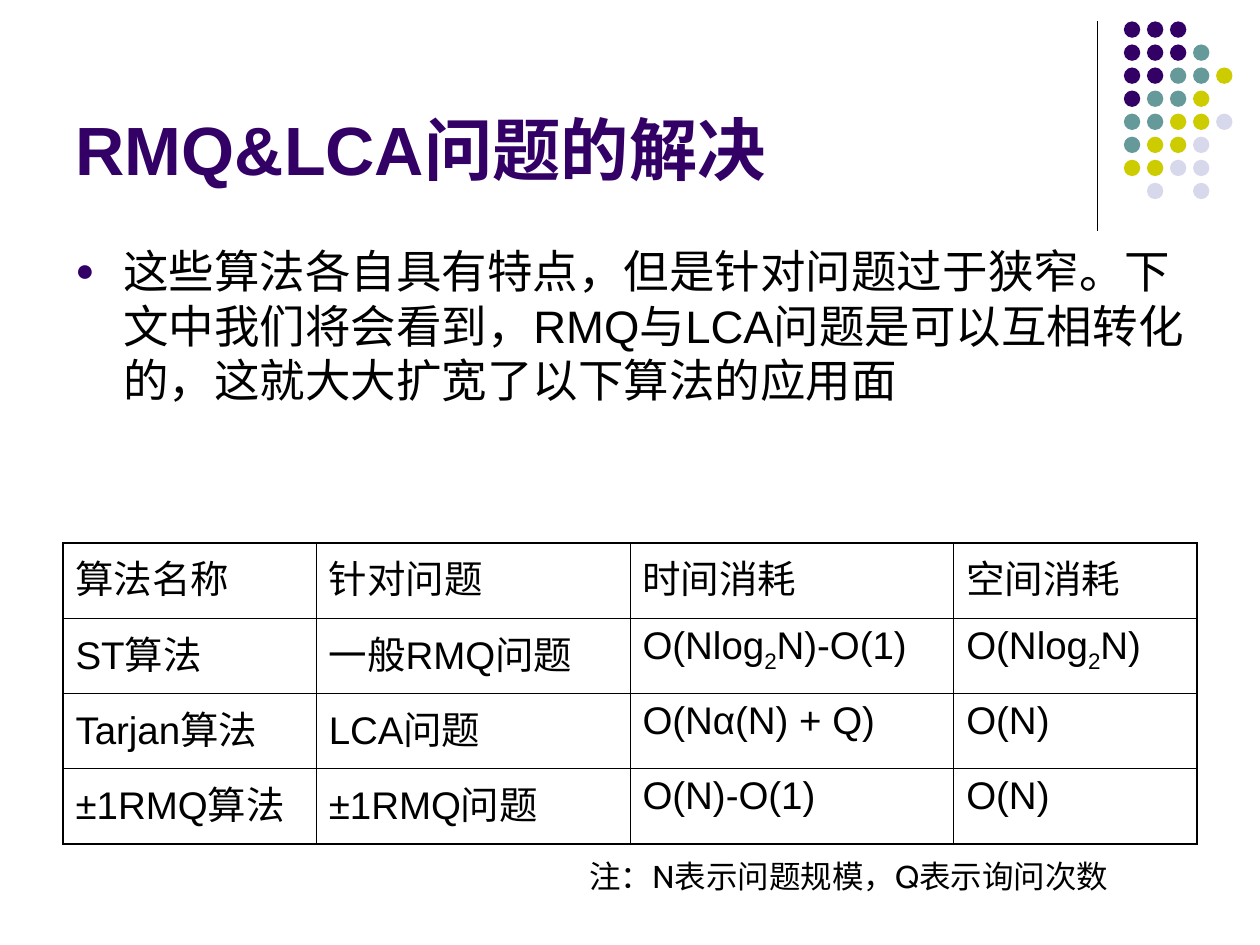
from dataclasses import dataclass

from lxml import etree
from pptx import Presentation
from pptx.dml.color import RGBColor
from pptx.enum import shapes, text
from pptx.oxml import ns
from pptx.util import Inches, Pt


@dataclass(frozen=True)
class Theme:
    ink: str = "000000"
    plum: str = "330066"
    teal: str = "669999"
    lime: str = "CCCC00"
    mist: str = "D8D8EC"
    font: str = "Arial"
    alt: str = "Cabin"
    title: float = 39
    body: float = 26
    cell: float = 22
    note: float = 18
    thin: float = 0.45
    thick: float = 1.08


@dataclass(frozen=True)
class Box:
    left: float
    top: float
    width: float
    height: float

    def place(self) -> tuple:
        return tuple(Inches(v) for v in (self.left, self.top, self.width, self.height))


@dataclass(frozen=True)
class Style:
    size: float
    color: str
    font: str
    bold: bool = False
    before: float = 0


THEME = Theme()
HEAD = Style(THEME.title, THEME.plum, THEME.font, bold=True)
BODY = Style(THEME.body, THEME.ink, THEME.font, before=6.5)
CELL = Style(THEME.cell, THEME.ink, THEME.font, before=5.5)
NOTE = Style(THEME.note, THEME.ink, THEME.alt, before=11.2)

DOTS = ("PPP", "PPPT", "PPTTY", "PTTY", "TTYYM", "TYYM", "YYMM", " M M")
TINTS = {"P": THEME.plum, "T": THEME.teal, "Y": THEME.lime, "M": THEME.mist}
COLS = (2.01, 2.49, 2.57, 1.93)
ROWS = (
    ("算法名称", "针对问题", "时间消耗", "空间消耗"),
    ("ST算法", "一般RMQ问题", "O(Nlog|2|N)-O(1)", "O(Nlog|2|N)"),
    ("Tarjan算法", "LCA问题", "O(Nα(N) + Q)", "O(N)"),
    ("±1RMQ算法", "±1RMQ问题", "O(N)-O(1)", "O(N)"),
)


def add(parent, tag: str, **attrs: str):
    return etree.SubElement(parent, ns.qn(tag), attrs)


def dress(para, style: Style) -> None:
    para.alignment = text.PP_ALIGN.LEFT
    para.space_before = Pt(style.before)
    for run in para.runs:
        font = run.font
        font.size = Pt(style.size)
        font.name = style.font
        font.bold = style.bold
        font.color.rgb = RGBColor.from_string(style.color)


def write(frame, words: str, style: Style) -> None:
    frame.word_wrap = True
    frame.text = words
    dress(frame.paragraphs[0], style)


def add_text(slide, box: Box, words: str, style: Style):
    frame = slide.shapes.add_textbox(*box.place()).text_frame
    write(frame, words, style)
    return frame.paragraphs[0]


def add_bullet(para) -> None:
    props = para._p.get_or_add_pPr()
    props.set("marL", str(Inches(0.38)))
    props.set("indent", str(-Inches(0.38)))
    add(add(props, "a:buClr"), "a:srgbClr", val=THEME.plum)
    add(props, "a:buSzPct", val="70000")
    add(props, "a:buFont", typeface=THEME.font)
    add(props, "a:buChar", char="●")


def add_rule(slide) -> None:
    x = Inches(8.71)
    rule = slide.shapes.add_connector(
        shapes.MSO_CONNECTOR.STRAIGHT, x, Inches(0.17), x, Inches(1.83))
    rule.line.color.rgb = RGBColor.from_string(THEME.ink)
    rule.line.width = Pt(0.75)
    add(rule._element.spPr, "a:effectLst")


def add_dots(slide, left: float, top: float, step: float, size: float) -> None:
    group = slide.shapes.add_group_shape()
    for row, line in enumerate(DOTS):
        for col, key in enumerate(line):
            if key not in TINTS:
                continue
            box = Box(left + col * step, top + row * step, size, size)
            dot = group.shapes.add_shape(shapes.MSO_SHAPE.OVAL, *box.place())
            dot.shadow.inherit = False
            dot.fill.solid()
            dot.fill.fore_color.rgb = RGBColor.from_string(TINTS[key])
            dot.line.fill.background()


def add_edges(cell, row: int, col: int) -> None:
    outer = {
        "a:lnL": col == 0,
        "a:lnR": col == len(COLS) - 1,
        "a:lnT": row == 0,
        "a:lnB": row == len(ROWS) - 1,
    }
    props = cell._tc.get_or_add_tcPr()
    for tag, edge in outer.items():
        width = Pt(THEME.thick if edge else THEME.thin)
        line = add(props, tag, w=str(width))
        add(add(line, "a:solidFill"), "a:srgbClr", val=THEME.ink)


def fill_cell(cell, words: str) -> None:
    para = cell.text_frame.paragraphs[0]
    for spot, part in enumerate(words.split("|")):
        run = para.add_run()
        run.text = part
        if spot % 2:
            run._r.get_or_add_rPr().set("baseline", "-25000")
    dress(para, CELL)


def add_grid(slide, box: Box) -> None:
    table = slide.shapes.add_table(len(ROWS), len(COLS), *box.place()).table
    table.first_row = False
    table.horz_banding = False
    for col, width in zip(table.columns, COLS):
        col.width = Inches(width)
    for row, line in enumerate(ROWS):
        for col, words in enumerate(line):
            cell = table.cell(row, col)
            add_edges(cell, row, col)
            cell.fill.background()
            fill_cell(cell, words)


def main() -> None:
    deck = Presentation()
    deck.slide_width, deck.slide_height = Inches(10), Inches(7.5)
    slide = deck.slides.add_slide(deck.slide_layouts[5])
    add_rule(slide)
    add_dots(slide, 8.92, 0.17, 0.183, 0.13)

    title = slide.shapes.title
    title.left, title.top, title.width, title.height = Box(0.5, 0.13, 8.25, 1.42).place()
    write(title.text_frame, "RMQ&LCA问题的解决", HEAD)
    title.text_frame.auto_size = text.MSO_AUTO_SIZE.NONE
    title.text_frame.vertical_anchor = text.MSO_ANCHOR.BOTTOM

    add_bullet(add_text(
        slide, Box(0.5, 1.88, 9, 2.33),
        "这些算法各自具有特点，但是针对问题过于狭窄。下文中我们将会看到，"
        "RMQ与LCA问题是可以互相转化的，这就大大扩宽了以下算法的应用面", BODY))
    add_grid(slide, Box(0.5, 4.31, 9, 2.39))
    add_text(slide, Box(4.58, 6.75, 4.92, 0.4), "注：N表示问题规模，Q表示询问次数", NOTE)
    deck.save("out.pptx")


if __name__ == "__main__":
    main()
